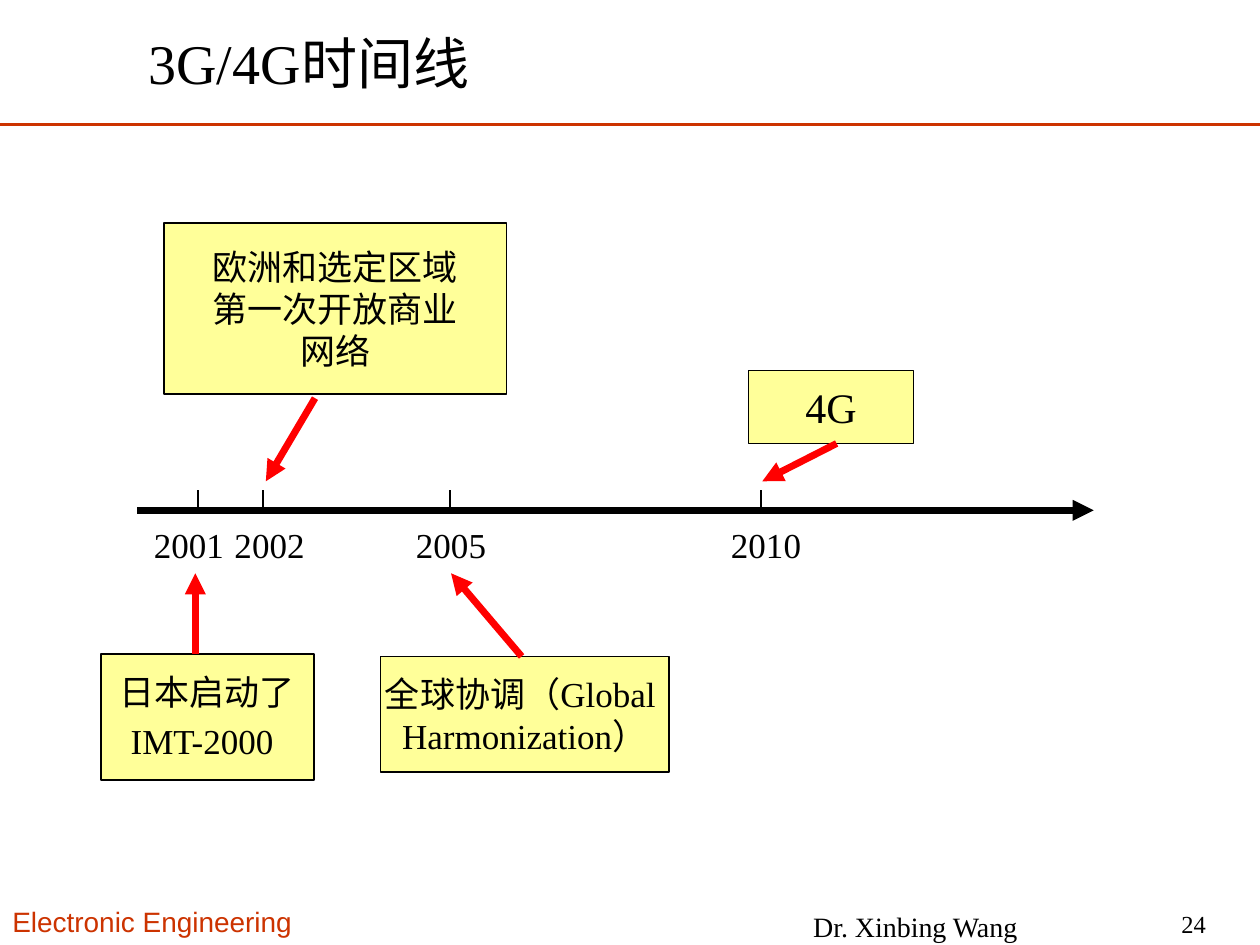
from lxml import etree
from pptx import Presentation
from pptx.dml.color import RGBColor
from pptx.enum import shapes, text
from pptx.oxml import ns
from pptx.util import Inches, Pt

COLORS = {"accent": "CC3300", "ink": "000000", "box": "FFFF99", "arrow": "FF0000"}
SERIF = "Times New Roman"
LEFT, CENTER, RIGHT = text.PP_ALIGN.LEFT, text.PP_ALIGN.CENTER, text.PP_ALIGN.RIGHT
MIDDLE, TOP = text.MSO_ANCHOR.MIDDLE, text.MSO_ANCHOR.TOP


def rgb(name):
    return RGBColor.from_string(COLORS[name])


def add_run(p, content, size, font=SERIF, color="ink"):
    r = p.add_run()
    r.text = content
    r.font.size, r.font.name = Pt(size), font
    r.font.color.rgb = rgb(color)


def write(sp, *lines, size=20, font=SERIF, color="ink", align=CENTER, anchor=MIDDLE, wrap=False):
    tf = sp.text_frame
    tf.word_wrap = wrap
    tf.vertical_anchor = anchor
    for i, line in enumerate(lines):
        p = tf.paragraphs[0] if i == 0 else tf.add_paragraph()
        p.alignment = align
        add_run(p, line, size, font, color)
    return tf


def add_text(s, box, *lines, **fmt):
    sp = s.shapes.add_textbox(*map(Inches, box))
    return write(sp, *lines, **fmt)


def add_line(s, start, end, color="ink", width=1, arrow=False):
    ends = map(Inches, (*start, *end))
    cx = s.shapes.add_connector(shapes.MSO_CONNECTOR.STRAIGHT, *ends)
    cx.line.color.rgb = rgb(color)
    cx.line.width = Pt(width)
    if arrow:
        etree.SubElement(cx.line._get_or_add_ln(), ns.qn("a:tailEnd"), type="triangle")
    etree.SubElement(cx._element.spPr, ns.qn("a:effectLst"))


def add_event(s, box, *lines, size=20):
    sp = s.shapes.add_shape(shapes.MSO_SHAPE.RECTANGLE, *map(Inches, box))
    sp.shadow.inherit = False
    sp.fill.solid()
    sp.fill.fore_color.rgb = rgb("box")
    sp.line.color.rgb = rgb("ink")
    sp.line.width = Pt(1)
    return write(sp, *lines, size=size)


def add_header(s, box):
    left, top, width, height = box
    add_line(s, (left, top + height), (left + width, top + height), "accent", 1.5)
    add_text(s, (left + 1.08, top + 0.15, 6.63, 0.69), "3G/4G时间线",
             size=32, align=LEFT, wrap=True)


def add_footer(s, box):
    left, top, _, height = box
    add_text(s, (left, top, 2.55, height), "Electronic Engineering", size=16,
             font="Arial", color="accent", align=LEFT, anchor=TOP, wrap=True)
    add_text(s, (left + 6.05, top + 0.1, 2.43, 0.25), "Dr. Xinbing Wang", size=16, wrap=True)
    add_text(s, (left + 8.84, top + 0.08, 0.83, 0.25), "24", size=14, align=RIGHT, wrap=True)


def add_axis(s, box):
    left, top, width, height = box
    axis_y = top + 0.16
    add_line(s, (left, axis_y), (left + width, axis_y), width=4, arrow=True)
    # Tick offset and label centre for each year
    years = {"2001": (0.48, 0.41), "2002": (1, 1.05), "2005": (2.48, 2.49), "2010": (4.95, 4.99)}
    for year, (tick, label) in years.items():
        add_line(s, (left + tick, top), (left + tick, top + 0.14))
        add_text(s, (left + label - 0.38, top + height - 0.43, 0.76, 0.43), year)


def add_events(s, box):
    left, top, _, _ = box

    # Boxes
    tf = add_event(s, (left, top + 3.42, 1.69, 1), "日本启动了", "IMT-2000")
    add_run(tf.paragraphs[1], " ", 24)
    add_event(s, (left + 0.5, top, 2.72, 1.36), "欧洲和选定区域", "第一次开放商业", "网络")
    add_event(s, (left + 2.22, top + 3.44, 2.29, 0.92), "全球协调（Global ", "Harmonization）")
    add_event(s, (left + 5.14, top + 1.17, 1.31, 0.58), "4G", size=24)

    # Arrows from each box to its year
    above, below = top + 2.05, top + 2.78
    for x1, y1, x2, y2 in ((0.75, 3.42, 0.75, below), (1.7, 1.39, 1.31, above),
                           (3.34, 3.44, 2.78, below), (5.84, 1.75, 5.25, above)):
        add_line(s, (left + x1, top + y1), (left + x2, y2), "arrow", 4, arrow=True)


def main():
    prs = Presentation()
    prs.slide_width, prs.slide_height = Inches(10), Inches(7.5)
    s = prs.slides.add_slide(prs.slide_layouts[6])
    add_header(s, (0, 0, 10, 0.99))
    add_footer(s, (0, 7.13, 10, 0.37))
    add_axis(s, (1.09, 3.89, 7.59, 0.65))
    add_events(s, (0.8, 1.77, 6.45, 4.42))
    prs.save("out.pptx")


if __name__ == "__main__":
    main()
